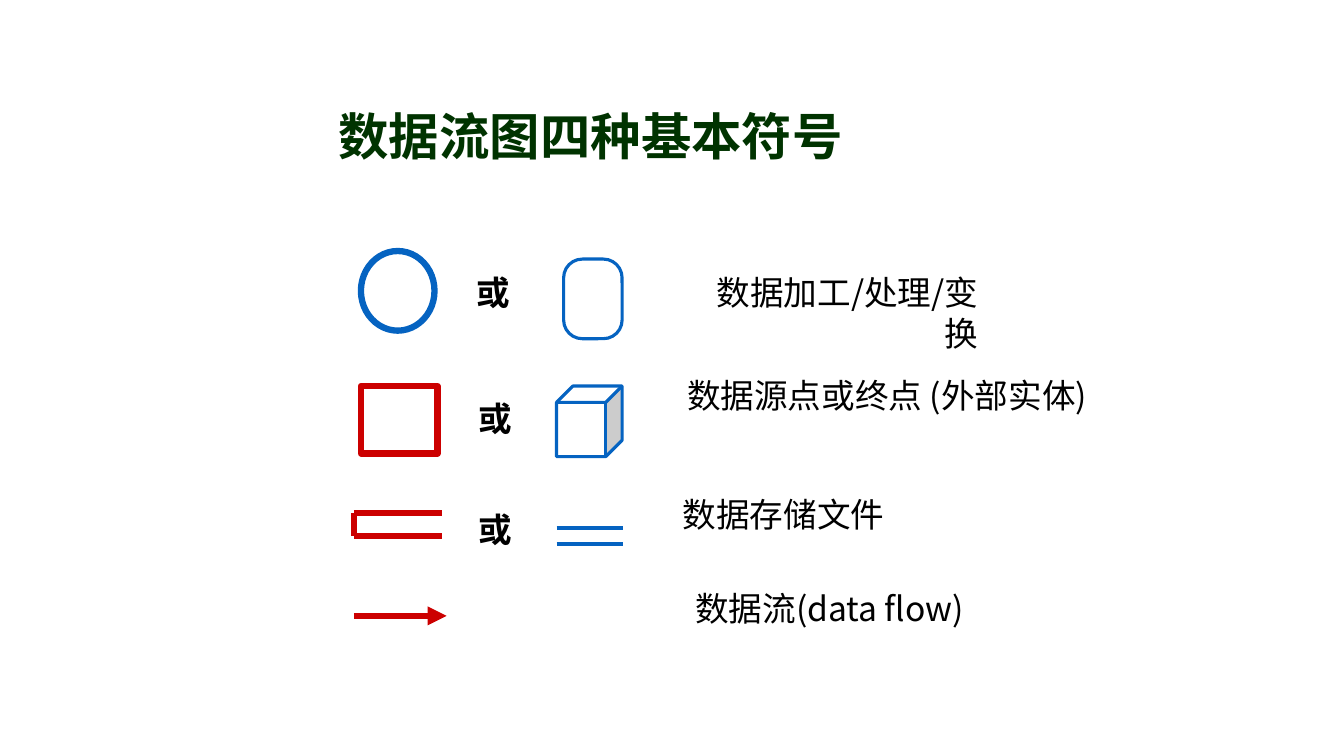
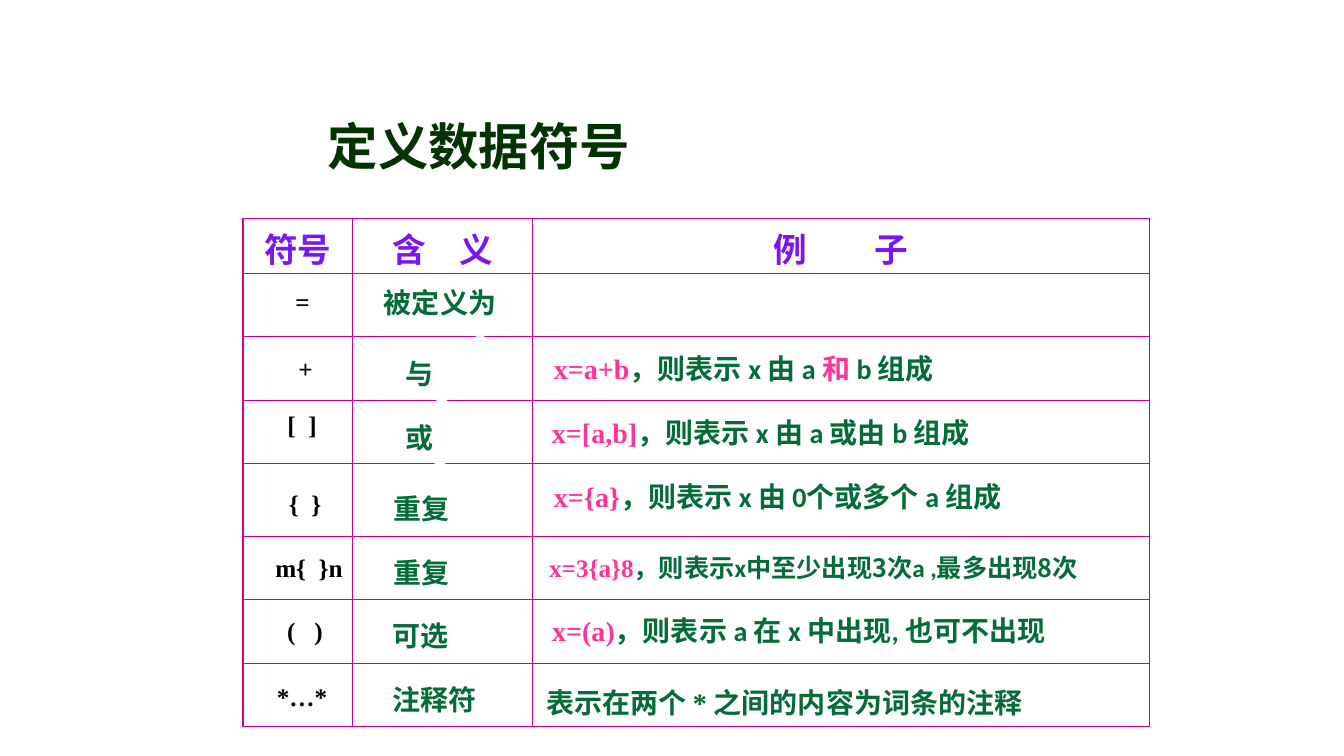
from pptx import Presentation
from pptx.dml.color import RGBColor
from pptx.enum.shapes import MSO_CONNECTOR as Link, MSO_SHAPE as Kind
from pptx.enum.text import MSO_ANCHOR as Anchor, MSO_AUTO_SIZE as Auto, PP_ALIGN as Align
from pptx.oxml.ns import qn
from pptx.util import Inches, Pt
from lxml.etree import SubElement as Sub

HAN, ROMAN, SANS = "Noto Sans CJK SC", "Times New Roman", "Calibri"
BLUE, RED, PINK, GREEN = "0563C1", "CC0000", "FF3399", "046C36"
BLACK, WHITE, DEEP, VIOLET, GRID = "000000", "FFFFFF", "003300", "7A16F4", "CC0099"


def tint(code):
    return RGBColor.from_string(code)


def apply(item, form):
    for name, value in form.items():
        setattr(item, name, value)


class Deck:
    title_font = dict(size=Pt(36), bold=True)

    def __init__(self):
        self.file = Presentation()
        apply(self.file, dict(slide_width=Inches(13.33), slide_height=Inches(7.5)))
        self.page = None

    def slide(self):
        self.page = self.file.slides.add_slide(self.file.slide_layouts[6])

    def run(self, para, text, color, face=HAN, **form):
        run = para.add_run()
        run.text = text
        apply(run.font, dict(form, name=face))
        run.font.color.rgb = tint(color)
        Sub(run._r.get_or_add_rPr(), qn("a:ea"), typeface=HAN)

    def fill(self, frame, runs, form, para=None, **font):
        apply(frame, form)
        line = frame.paragraphs[0]
        apply(line, para or {})
        for text, color, face in runs:
            self.run(line, text, color, face, **font)

    def text(self, box, text, color=BLACK, wrap=False, align=Align.RIGHT, **font):
        frame = self.page.shapes.add_textbox(*map(Inches, box)).text_frame
        form = dict(word_wrap=wrap, auto_size=Auto.SHAPE_TO_FIT_TEXT)
        font = {"size": Pt(24), **font}
        self.fill(frame, [(text, color, HAN)], form, dict(alignment=align), **font)

    def title(self, box, text, wrap, align):
        frame = self.page.shapes.add_textbox(*map(Inches, box)).text_frame
        form = dict(word_wrap=wrap, vertical_anchor=Anchor.MIDDLE)
        para = dict(alignment=align, line_spacing=0.9 if wrap else 1.0)
        self.fill(frame, [(text, DEEP, HAN)], form, para, **self.title_font)

    def shape(self, kind, box, fill=None, line=None, width=0, adjust=()):
        shape = self.page.shapes.add_shape(kind, *map(Inches, box))
        shape.shadow.inherit = False
        for place, value in enumerate(adjust):
            shape.adjustments[place] = value
        if fill:
            shape.fill.solid()
            shape.fill.fore_color.rgb = tint(fill)
        else:
            shape.fill.background()
        if line:
            shape.line.color.rgb = tint(line)
            shape.line.width = Pt(width)
        else:
            shape.line.fill.background()
        return shape

    def label(self, kind, box, runs, size, fill=None, adjust=(), wrap=False,
              anchor=Anchor.MIDDLE, align=Align.LEFT):
        frame = self.shape(kind, box, fill, adjust=adjust).text_frame
        form = dict(word_wrap=wrap, vertical_anchor=anchor)
        self.fill(frame, runs, form, dict(alignment=align), size=Pt(size), bold=True)

    def line(self, start, end, color, width, arrow=False):
        line = self.page.shapes.add_connector(Link.STRAIGHT, *map(Inches, start + end))
        line.line.color.rgb = tint(color)
        line.line.width = Pt(width)
        if arrow:
            Sub(line.line._get_or_add_ln(), qn("a:tailEnd"), type="triangle")
        Sub(line._element.spPr, qn("a:effectLst"))

    def table(self, left, top, cols, rows, heads):
        size = (len(rows), len(cols), left, top, sum(cols), sum(rows))
        grid = self.page.shapes.add_table(*size[:2], *map(Inches, size[2:])).table
        apply(grid, dict(first_row=False, horz_banding=False))
        for col, width in zip(grid.columns, cols):
            col.width = Inches(width)
        for row, height in zip(grid.rows, rows):
            row.height = Inches(height)
        for cell in grid.iter_cells():
            self.edge(cell)
        form = dict(alignment=Align.CENTER, space_before=Pt(6))
        for cell, head in zip(grid.rows[0].cells, heads):
            cell.vertical_anchor = Anchor.MIDDLE
            self.fill(cell.text_frame, [(head, VIOLET, "Cambria")], {}, form,
                      size=Pt(24), bold=True)

    def edge(self, cell):
        props = cell._tc.get_or_add_tcPr()
        for side in "LRTB":
            line = Sub(props, qn("a:ln" + side), w=str(Pt(1)))
            Sub(Sub(line, qn("a:solidFill")), qn("a:srgbClr"), val=GRID)
        cell.fill.background()


def symbols(deck):
    deck.slide()
    deck.title((3.26, 0.99, 6.54, 0.78), "数据流图四种基本符号", True, Align.LEFT)
    deck.shape(Kind.OVAL, (3.58, 2.49, 0.73, 0.79), None, BLUE, 4.5)
    deck.shape(Kind.RECTANGLE, (3.58, 3.83, 0.76, 0.67), None, RED, 4.5)
    deck.shape(Kind.CUBE, (5.52, 3.83, 0.65, 0.7), WHITE, BLUE, 2.25, [0.25])
    deck.shape(Kind.ROUNDED_RECTANGLE, (5.59, 2.57, 0.58, 0.79), WHITE, BLUE, 2.25, [0.32])
    for y in (5.09, 5.32):
        deck.line((3.51, y), (4.38, y), RED, 4.5)
    deck.line((3.51, 5.09), (3.51, 5.32), RED, 4.5)
    for y in (5.24, 5.4):
        deck.line((5.52, y), (6.18, y), BLUE, 3)
    deck.line((3.51, 6.11), (4.43, 6.11), RED, 4.5, True)
    deck.text((6.74, 2.65, 3.06, 0.91), "数据加工/处理/变换", wrap=True)
    for box, text in (
        ((6.47, 3.67, 4.41, 0.51), "数据源点或终点 (外部实体)"),
        ((6.65, 4.85, 2.22, 0.51), "数据存储文件"),
        ((6.6, 5.78, 3.06, 0.51), "数据流(data flow)"),
    ):
        deck.text(box, text)
    for x, y in ((4.63, 2.65), (4.65, 3.9), (4.65, 5)):
        deck.text((x, y, 0.58, 0.5), "或", wrap=True, align=Align.LEFT, bold=True)


SIGNS = (
    ("=", 2.73, 2.83, 0.54),
    ("+", 2.76, 3.49, 0.54),
    ("[  ]", 2.65, 4.05, 0.69),
    ("{  }", 2.68, 4.83, 0.69),
    ("m{  }n", 2.72, 5.46, 0.69),
    ("(   )", 2.68, 6.09, 0.69),
    ("*…*", 2.65, 6.74, 0.69),
)
SENSES = (
    ("被定义为", (3.71, 2.78, 1.5, 0.39), (0.2, 1.05)),
    ("与", (3.92, 3.49, 0.62, 0.42), (0.31, 0.92)),
    ("或", (3.92, 4.12, 0.62, 0.42), (0.23, 0.92)),
    ("重复", (3.8, 4.83, 0.77, 0.33), (0.15, 0.77)),
    ("重复", (3.8, 5.46, 0.77, 0.33), (0.23, 0.85)),
    ("可选", (3.79, 6.09, 1, 0.33), (0.27, 0.98)),
    ("注释符", (3.79, 6.72, 1.3, 0.41), (0.42, -0.27)),
)
CASES = (
    ("x=a+b|，则表示 |x |由 |a |和 |b |组成", 5.38, 3.49, 3.85, 0.17, 20),
    ("x=[a,b]|，则表示 |x |由 |a |或由 |b |组成", 5.36, 4.12, 4.15, 0.17, 20),
    ("x={a}|，则表示 |x |由 |0个|或多个 |a |组成", 5.38, 4.76, 3.85, 0.17, 20),
    ("x=3{a}8|，则表示|x|中至少出现3次|a ,|最多出现8次", 5.3, 5.46, 4.85, 0.5, 18),
    ("x=(a)|，则表示 |a |在 |x 中出现, |也可不出现", 5.33, 6.09, 4.69, 0.5, 20),
    ("|表示在两个 |* |之间的内容为词条的注释", 5.27, 6.8, 4.39, 0.5, 20),
)
ODD = {"和 ": (PINK, HAN), "* ": (GREEN, ROMAN)}


def phrase(text):
    head, *rest = text.split("|")
    runs = [(head, PINK, ROMAN)] if head else []
    for place, part in enumerate(rest):
        look = ODD.get(part, (GREEN, SANS if place % 2 else HAN))
        runs.append((part, *look))
    return runs


def terms(deck):
    deck.slide()
    deck.title((2.73, 1.15, 4.04, 0.58), "定义数据符号", False, Align.CENTER)
    rows = [0.54] + [0.63] * 3 + [0.72] + [0.63] * 3
    deck.table(2.41, 2.17, [1.09, 1.78, 6.12], rows, ["符号", "含　义", "例　　子"])
    for text, x, y, width in SIGNS:
        deck.label(Kind.RECTANGLE, (x, y, width, 0.33), [(text, BLACK, ROMAN)], 18,
                   WHITE, align=Align.CENTER)
    for text, box, adjust in SENSES:
        deck.label(Kind.RECTANGULAR_CALLOUT, box, [(text, GREEN, ROMAN)], 20, WHITE,
                   adjust, True, Anchor.TOP)
    for text, x, y, width, curve, size in CASES:
        deck.label(Kind.ROUNDED_RECTANGLE, (x, y, width, 0.33), phrase(text), size,
                   adjust=[curve])


def main():
    deck = Deck()
    symbols(deck)
    terms(deck)
    deck.file.save("out.pptx")


if __name__ == "__main__":
    main()
